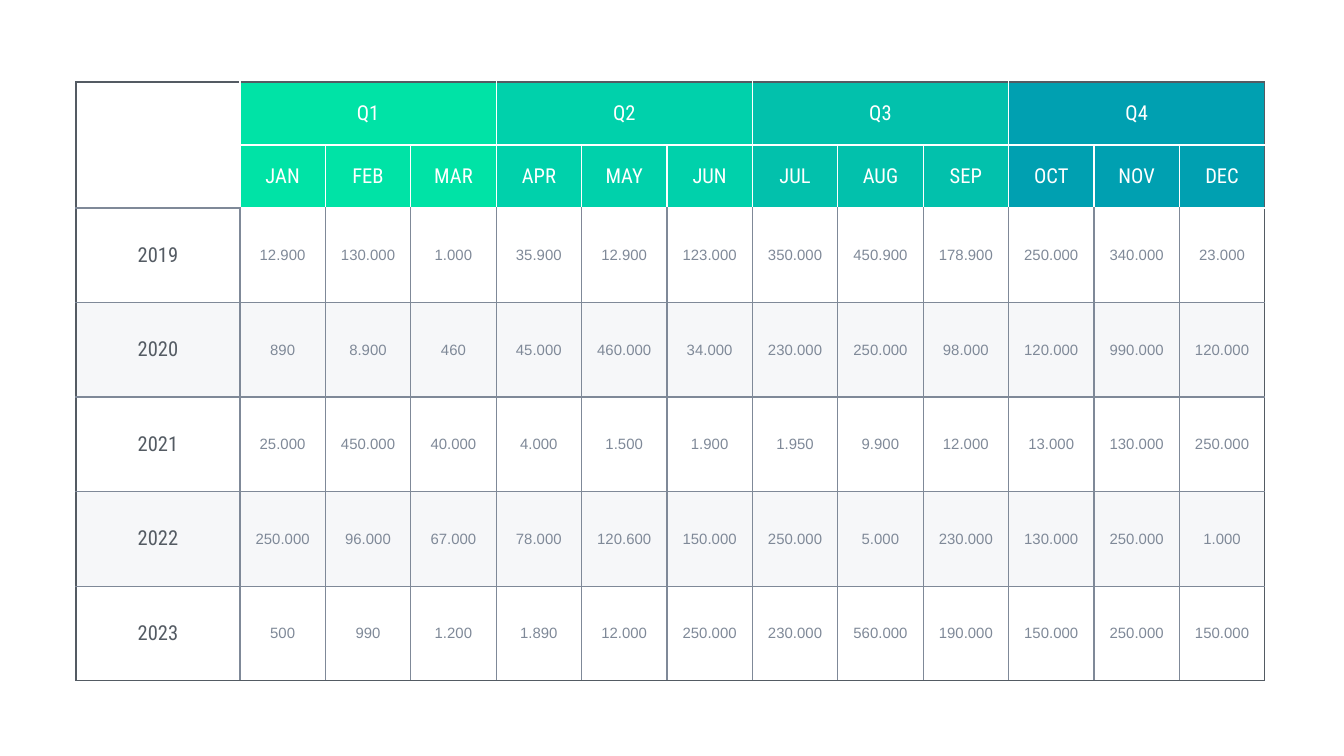
from lxml import etree
from pptx import Presentation
from pptx.dml.color import RGBColor
from pptx.enum.text import MSO_ANCHOR, PP_ALIGN
from pptx.oxml.ns import qn
from pptx.util import Pt

MIDDLE, CENTER = MSO_ANCHOR.MIDDLE, PP_ALIGN.CENTER
SCALE = 914400 / 134.4
WHITE, GRAY, DARK, PALE = "FFFFFF", "7F8998", "545B63", "EEF0F4"
TINTS = ["00E3A6", "00D1AB", "02C1AC", "00A0B1"]
MONTHS = "JAN FEB MAR APR MAY JUN JUL AUG SEP OCT NOV DEC".split()
YEARS = {
    "2019": "12.900 130.000 1.000 35.900 12.900 123.000 350.000 450.900 178.900 250.000 340.000 23.000",
    "2020": "890 8.900 460 45.000 460.000 34.000 230.000 250.000 98.000 120.000 990.000 120.000",
    "2021": "25.000 450.000 40.000 4.000 1.500 1.900 1.950 9.900 12.000 13.000 130.000 250.000",
    "2022": "250.000 96.000 67.000 78.000 120.600 150.000 250.000 5.000 230.000 130.000 250.000 1.000",
    "2023": "500 990 1.200 1.890 12.000 250.000 230.000 560.000 190.000 150.000 250.000 150.000",
}
ROWS, COLS, HEADS = len(YEARS) + 2, len(MONTHS) + 1, 2
BASE = {"margin_left": 5, "margin_right": 5, "margin_top": 3, "margin_bottom": 3}
TITLE = {"name": "Roboto Condensed", "size": Pt(11)}
VALUE = {"name": "Arial", "size": Pt(8)}


def px(num):
    """Turn pixels into EMU."""
    return round(num * SCALE)


def rgb(code):
    """Turn a hex string into a colour."""
    return RGBColor.from_string(code)


def assign(item, values):
    """Set every attribute named in a dict."""
    for key, value in values.items():
        setattr(item, key, value)


def paint(cell, code, alpha=100):
    """Fill a cell with a colour of the given opacity."""
    cell.fill.solid()
    cell.fill.fore_color.rgb = rgb(code)
    if alpha < 100:
        tone = cell.fill._xPr.find(".//" + qn("a:srgbClr"))
        etree.SubElement(tone, qn("a:alpha"), val=str(alpha * 1000))


def write(cell, text, style, code):
    """Put centred text into a cell."""
    para = cell.text_frame.paragraphs[0]
    para.alignment = CENTER
    run = para.add_run()
    run.text = text
    assign(run.font, style)
    run.font.color.rgb = rgb(code)


def is_head(row, col):
    """Tell whether a place lies in the coloured header."""
    return row < HEADS and col > 0


def tone(here, near):
    """Choose the line colour between two neighbouring places."""
    row, col = near
    if not (0 <= row < ROWS and 0 <= col < COLS):
        return DARK
    return WHITE if is_head(*here) or is_head(*near) else GRAY


def border(cell, row, col):
    """Draw the four edges of a cell."""
    near = {
        "L": (row, col - 1),
        "R": (row, col + cell.span_width),
        "T": (row - 1, col),
        "B": (row + cell.span_height, col),
    }
    props = cell._tc.get_or_add_tcPr()
    for spot, (side, place) in enumerate(near.items()):
        line = etree.Element(qn("a:ln" + side), w=str(Pt(0.75)))
        fill = etree.SubElement(line, qn("a:solidFill"))
        etree.SubElement(fill, qn("a:srgbClr"), val=tone((row, col), place))
        props.insert(spot, line)


def header(table):
    """Fill the quarter and month rows."""
    table.cell(0, 0).merge(table.cell(1, 0))
    for row in range(HEADS):
        table.cell(row, 0).fill.background()
    for num, month in enumerate(MONTHS):
        quarter, first = num // 3, num % 3 == 0
        for row in range(HEADS):
            paint(table.cell(row, num + 1), TINTS[quarter])
        write(table.cell(1, num + 1), month, TITLE, WHITE)
        if first:
            top = table.cell(0, num + 1)
            top.merge(table.cell(0, num + 3))
            write(top, f"Q{quarter + 1}", TITLE, WHITE)


def body(table):
    """Fill one row for each year."""
    for row, (year, values) in enumerate(YEARS.items(), HEADS):
        code = PALE if row % 2 else WHITE
        alpha = 50 if row % 2 or row == ROWS - 1 else 100
        for col, text in enumerate([year] + values.split()):
            cell = table.cell(row, col)
            paint(cell, code, alpha)
            style, ink = (VALUE, GRAY) if col else (TITLE, DARK)
            write(cell, text, style, ink)


def grid(slide, left, top, width, height, label=164, head=63):
    """Place the yearly table in the given box."""
    box = map(px, (left, top, width, height))
    table = slide.shapes.add_table(ROWS, COLS, *box).table
    assign(table, {"first_row": False, "horz_banding": False})
    for num, col in enumerate(table.columns):
        col.width = px((width - label) / len(MONTHS) if num else label)
    for num, row in enumerate(table.rows):
        row.height = px(head if num < HEADS else (height - HEADS * head) / len(YEARS))
    header(table)
    body(table)
    for row in range(ROWS):
        for col in range(COLS):
            cell = table.cell(row, col)
            assign(cell, {key: px(num) for key, num in BASE.items()})
            cell.vertical_anchor = MIDDLE
            border(cell, row, col)


def main():
    """Build and save the slide."""
    deck = Presentation()
    assign(deck, {"slide_width": px(1344), "slide_height": px(756)})
    slide = deck.slides.add_slide(deck.slide_layouts[6])
    grid(slide, 76, 82, 1189, 599)
    deck.save("out.pptx")


if __name__ == "__main__":
    main()
